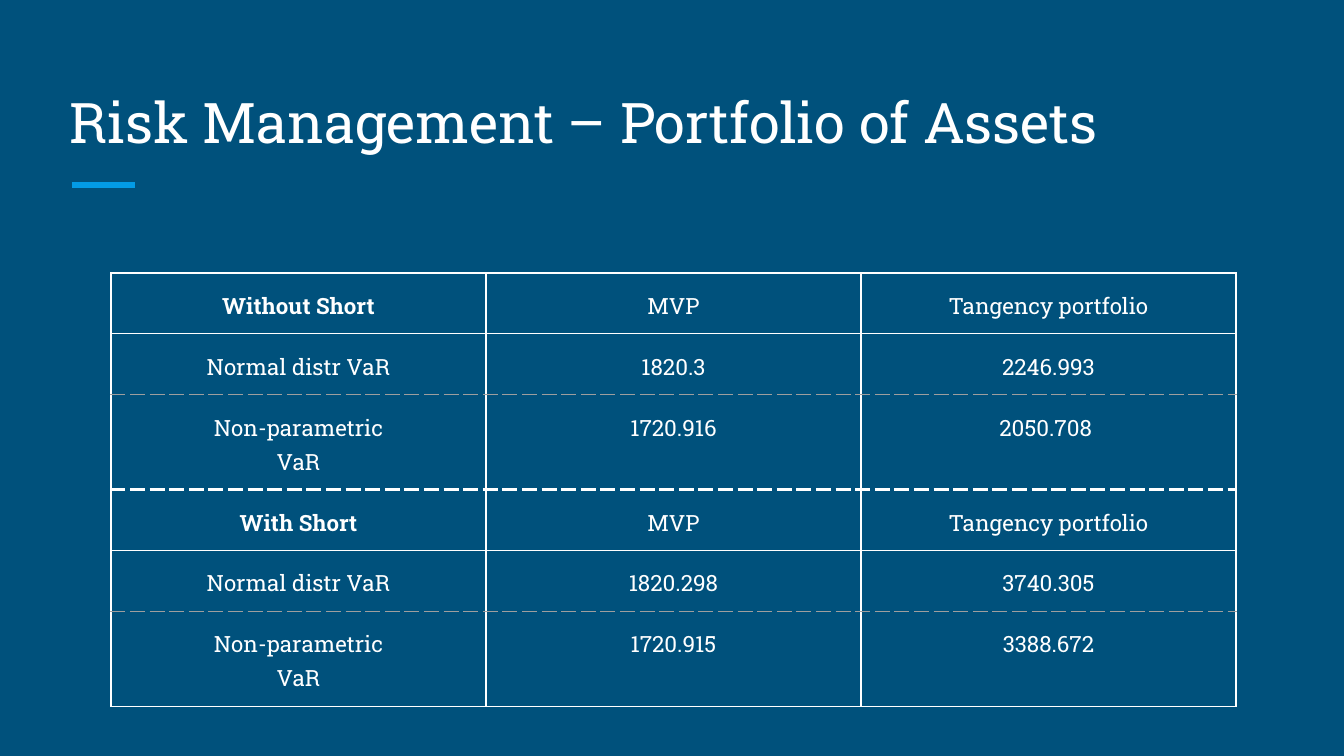
from lxml.etree import SubElement
from pptx import Presentation
from pptx.dml.color import RGBColor
from pptx.enum.shapes import MSO_CONNECTOR
from pptx.enum.text import MSO_ANCHOR, MSO_AUTO_SIZE, PP_ALIGN
from pptx.oxml.ns import qn
from pptx.util import Pt

PX = 9144000 / 1344  # EMU per px
FONT = "Roboto Slab"
NAVY = RGBColor(0x00, 0x51, 0x7C)
SKY = RGBColor(0x03, 0x9B, 0xE5)
WHITE = RGBColor(0xFF, 0xFF, 0xFF)
GREY = RGBColor(0x9E, 0x9E, 0x9E)

# Table borders: colour, width in points, dash
SOLID = (WHITE, 0.75, "solid")
DASHED = (GREY, 0.75, "dash")
DIVIDER = (WHITE, 2.25, "lgDash")


def write(frame, text, size=12, bold=False, align=PP_ALIGN.CENTER, spacing=None):
    frame.word_wrap = True
    frame.text = text
    for paragraph in frame.paragraphs:
        paragraph.alignment = align
        paragraph.line_spacing = spacing
        font = paragraph.runs[0].font
        font.name, font.size, font.bold = FONT, Pt(size), bold
        font.color.rgb = WHITE


def set_border(cell, side, border):
    color, width, dash = border
    properties = cell._tc.get_or_add_tcPr()
    line = SubElement(properties, qn(f"a:ln{side}"), w=str(Pt(width)))
    fill = SubElement(line, qn("a:solidFill"))
    SubElement(fill, qn("a:srgbClr"), val=str(color))
    SubElement(line, qn("a:prstDash"), val=dash)


presentation = Presentation()
presentation.slide_width = round(1344 * PX)
presentation.slide_height = round(756 * PX)
slide = presentation.slides.add_slide(presentation.slide_layouts[5])
slide.background.fill.solid()
slide.background.fill.fore_color.rgb = NAVY
margin = round(13.44 * PX)

# Accent line
accent = slide.shapes.add_connector(
    MSO_CONNECTOR.STRAIGHT, *[round(n * PX) for n in (72, 185, 135, 185)])
accent.line.color.rgb = SKY
accent.line.width = Pt(3)
SubElement(accent._element.spPr, qn("a:effectLst"))

# Title
title = slide.shapes.title
title.left, title.top, title.width, title.height = [
    round(n * PX) for n in (56, 67, 1230, 101)]
frame = title.text_frame
frame.auto_size = MSO_AUTO_SIZE.NONE
frame.vertical_anchor = MSO_ANCHOR.BOTTOM
frame.margin_left = frame.margin_right = margin
frame.margin_top = frame.margin_bottom = margin
write(frame, "Risk Management – Portfolio of Assets", size=30, align=PP_ALIGN.LEFT)

# Value-at-risk table
rows = [
    ("Without Short", "MVP", "Tangency portfolio"),
    ("Normal distr VaR", "1820.3", "2246.993"),
    ("Non-parametric\nVaR", "1720.916", "2050.708 "),
    ("With Short", "MVP", "Tangency portfolio"),
    ("Normal distr VaR", "1820.298", "3740.305"),
    ("Non-parametric\nVaR", "1720.915", "3388.672"),
]
row_heights = [48, 48, 77] * 2
row_edges = [SOLID, SOLID, DASHED, DIVIDER, SOLID, DASHED, SOLID]
column_width = 375

table = slide.shapes.add_table(
    len(rows), 3, *[round(n * PX) for n in
                    (111, 273, 3 * column_width, sum(row_heights))]).table
table.first_row = table.horz_banding = False
for column in table.columns:
    column.width = round(column_width * PX)

for r, texts in enumerate(rows):
    table.rows[r].height = round(row_heights[r] * PX)
    for c, text in enumerate(texts):
        cell = table.cell(r, c)
        cell.margin_left = cell.margin_right = margin
        cell.margin_top = cell.margin_bottom = margin
        write(cell.text_frame, text, bold=c == 0 and r % 3 == 0, spacing=1.15)
        for side, border in (("L", SOLID), ("R", SOLID),
                             ("T", row_edges[r]), ("B", row_edges[r + 1])):
            set_border(cell, side, border)
        cell.fill.background()

presentation.save("out.pptx")
